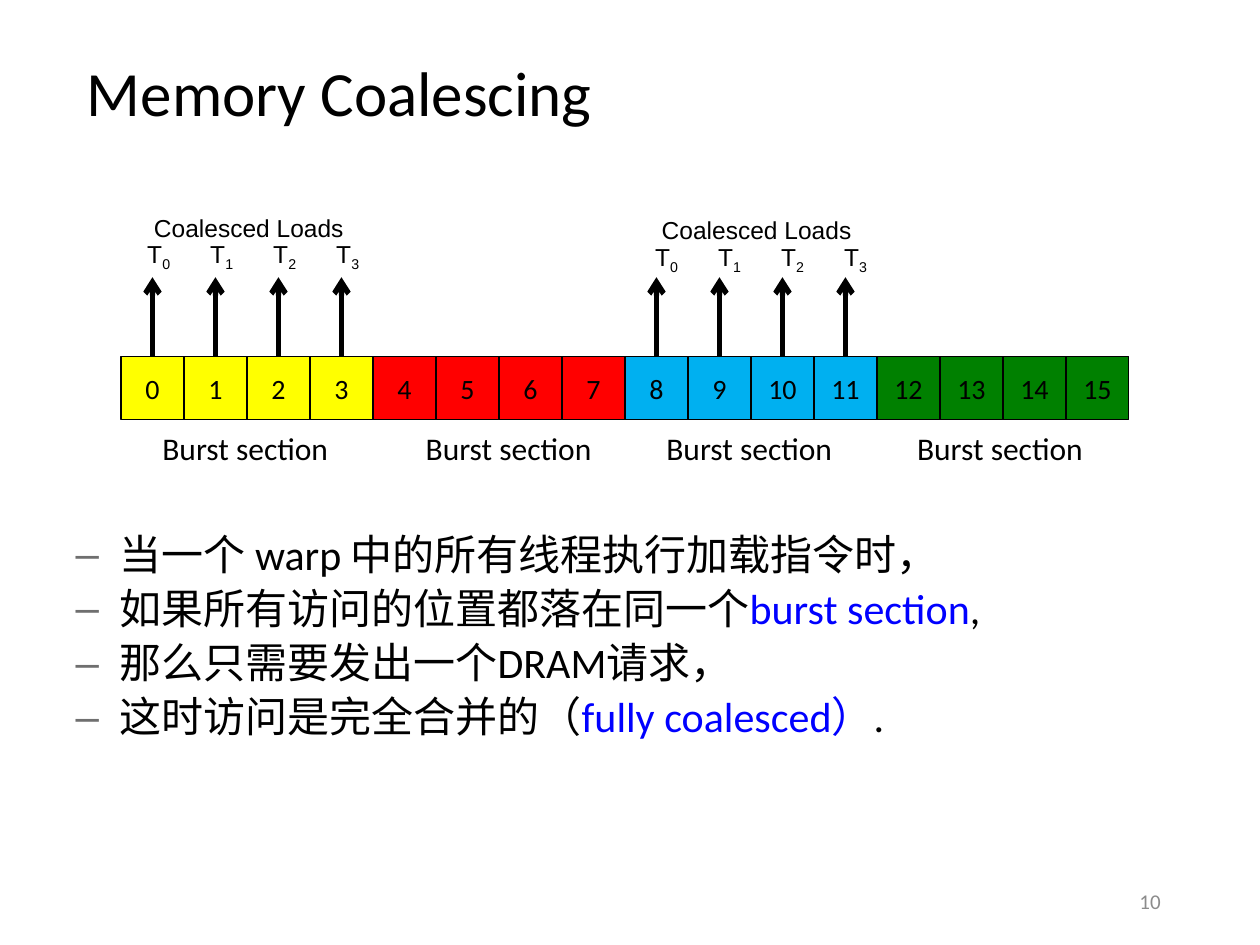
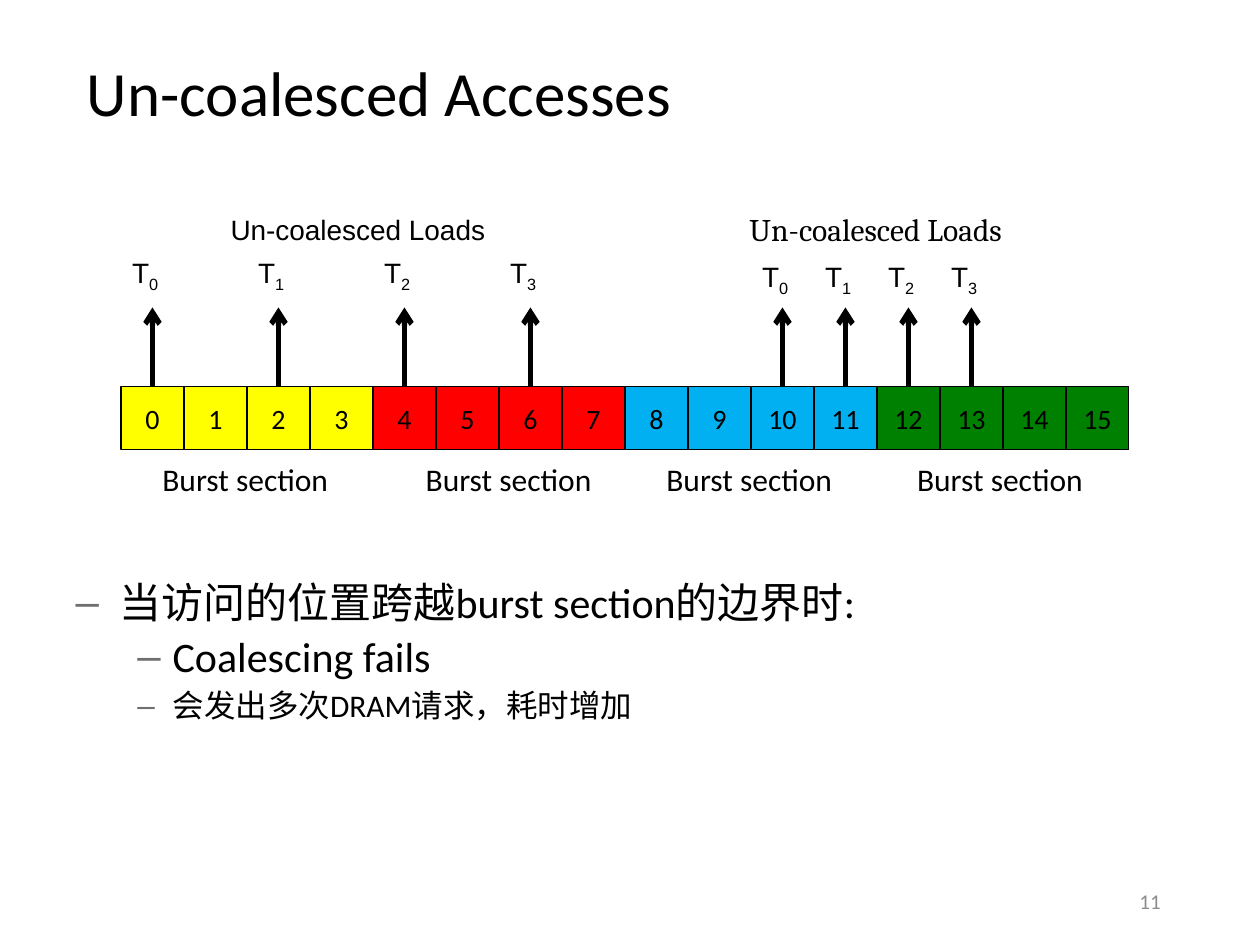
"""Build two slides on coalesced and un-coalesced memory accesses."""
from lxml import etree
from pptx import Presentation
from pptx.dml.color import RGBColor
from pptx.enum.shapes import MSO_CONNECTOR, MSO_SHAPE
from pptx.enum.text import MSO_ANCHOR, PP_ALIGN
from pptx.oxml.ns import qn
from pptx.util import Inches, Pt

BLACK, BLUE, DASH_GREY, NUMBER_GREY = "000000", "0000FF", "6F6F6F", "8C8C8C"
BODY_FONT, LABEL_FONT = "Calibri", "Arial"
SECTION_COLORS = ["FFFF00", "FF0000", "00B0F0", "008000"]
SECTION_LABEL = "Burst section"
SECTION_LABEL_LEFTS = [1.19, 3.28, 5.19, 7.18]
CELLS_PER_SECTION = 4
CELL, BAR_LEFT = 0.5, 0.96
ARROW_LENGTH = 0.63
INDENTS = [(0.35, -0.35), (0.77, -0.28)]

SLIDES = [
    {
        "title": "Memory Coalescing",
        "number": "10",
        "bar_top": 2.83,
        "loads": [
            {"caption": "Coalesced Loads", "font": LABEL_FONT, "size": 14,
             "caption_box": (1.12, 1.64, 1.71, 0.34), "cells": [0, 1, 2, 3],
             "thread_size": 14, "thread_shift": 0.11, "thread_top": 1.85},
            {"caption": "Coalesced Loads", "font": LABEL_FONT, "size": 14,
             "caption_box": (5.15, 1.66, 1.71, 0.34), "cells": [8, 9, 10, 11],
             "thread_size": 14, "thread_shift": 0.14, "thread_top": 1.87},
        ],
        "points_top": 4.17,
        "points": [
            (0, 24, [("当一个 warp 中的所有线程执行加载指令时，", BLACK)]),
            (0, 24, [("如果所有访问的位置都落在同一个", BLACK),
                     ("burst section", BLUE), (",", BLACK)]),
            (0, 24, [("那么只需要发出一个DRAM请求，", BLACK)]),
            (0, 24, [("这时访问是完全合并的（", BLACK),
                     ("fully coalesced）", BLUE), (".", BLACK)]),
        ],
    },
    {
        "title": "Un-coalesced Accesses",
        "number": "11",
        "bar_top": 3.07,
        "loads": [
            {"caption": "Un-coalesced Loads", "font": LABEL_FONT, "size": 16,
             "caption_box": (1.72, 1.64, 2.24, 0.37), "cells": [0, 2, 4, 6],
             "thread_size": 16, "thread_shift": -0.01, "thread_top": 1.98},
            {"caption": "Un-coalesced Loads", "font": "Cambria", "size": 18,
             "caption_box": (5.82, 1.62, 2.26, 0.4), "cells": [10, 11, 12, 13],
             "thread_size": 16, "thread_shift": -0.01, "thread_top": 2.01},
        ],
        "points_top": 4.55,
        "points": [
            (0, 24, [("当访问的位置跨越burst section的边界时:", BLACK)]),
            (1, 24, [("Coalescing fails", BLACK)]),
            (1, 18, [("会发出多次DRAM请求，耗时增加", BLACK)]),
        ],
    },
]


def rgb(color):
    return RGBColor.from_string(color)


def add_run(paragraph, text, size, color=BLACK, font=BODY_FONT):
    run = paragraph.add_run()
    run.text = text
    run.font.size = Pt(size)
    run.font.name = font
    run.font.color.rgb = rgb(color)
    return run


def add_frame(slide, left, top, width, height, wrap=False):
    frame = slide.shapes.add_textbox(
        Inches(left), Inches(top), Inches(width), Inches(height)).text_frame
    frame.word_wrap = wrap
    return frame


def set_margins(frame, left):
    frame.margin_left, frame.margin_right = Inches(left), Inches(0.13)
    frame.margin_top = frame.margin_bottom = Inches(0.07)


def add_title(slide, title):
    frame = add_frame(slide, 0.45, 0.42, 9.09, 0.68, wrap=True)
    set_margins(frame, 0.24)
    frame.paragraphs[0].line_spacing = 0.9
    add_run(frame.paragraphs[0], title, 36)


def add_number(slide, number):
    frame = add_frame(slide, 7.06, 6.95, 2.25, 0.4, wrap=True)
    frame.vertical_anchor = MSO_ANCHOR.MIDDLE
    frame.paragraphs[0].alignment = PP_ALIGN.RIGHT
    add_run(frame.paragraphs[0], number, 12, NUMBER_GREY)


def add_dash(paragraph, level):
    properties = paragraph._p.get_or_add_pPr()
    margin, indent = INDENTS[level]
    properties.set("marL", str(Inches(margin)))
    properties.set("indent", str(Inches(indent)))
    color = etree.SubElement(properties, qn("a:buClr"))
    etree.SubElement(color, qn("a:srgbClr"), val=DASH_GREY)
    etree.SubElement(properties, qn("a:buFont"), typeface=LABEL_FONT)
    etree.SubElement(properties, qn("a:buChar"), char="–")


def add_points(slide, top, points):
    frame = add_frame(slide, 0.47, top, 9.07, 7.05 - top, wrap=True)
    set_margins(frame, 0.13)
    for index, (level, size, pieces) in enumerate(points):
        paragraph = frame.add_paragraph() if index else frame.paragraphs[0]
        paragraph.level = level
        paragraph.line_spacing = 0.9
        paragraph.space_before = paragraph.space_after = Pt(2.5)
        add_dash(paragraph, level)
        for text, color in pieces:
            add_run(paragraph, text, size, color)


def add_cell(slide, index, top):
    cell = slide.shapes.add_shape(
        MSO_SHAPE.RECTANGLE, Inches(BAR_LEFT + index * CELL), Inches(top),
        Inches(CELL), Inches(CELL))
    cell.shadow.inherit = False
    cell.fill.solid()
    cell.fill.fore_color.rgb = rgb(SECTION_COLORS[index // CELLS_PER_SECTION])
    cell.line.color.rgb = rgb(BLACK)
    cell.line.width = Pt(0.75)
    frame = cell.text_frame
    frame.word_wrap = False
    frame.vertical_anchor = MSO_ANCHOR.MIDDLE
    frame.paragraphs[0].alignment = PP_ALIGN.CENTER
    add_run(frame.paragraphs[0], str(index), 16)
    return cell


def add_memory_bar(slide, top):
    cell_count = len(SECTION_COLORS) * CELLS_PER_SECTION
    cells = [add_cell(slide, index, top) for index in range(cell_count)]
    for left in SECTION_LABEL_LEFTS:
        frame = add_frame(slide, left, top + 0.53, 1.59, 0.4)
        add_run(frame.paragraphs[0], SECTION_LABEL, 18)
    return cells


def add_arrow(slide, cell):
    center = cell.left + cell.width // 2
    arrow = slide.shapes.add_connector(
        MSO_CONNECTOR.STRAIGHT, center, cell.top,
        center, cell.top - Inches(ARROW_LENGTH))
    arrow.begin_connect(cell, 0)
    arrow.line.color.rgb = rgb(BLACK)
    arrow.line.width = Pt(3)
    etree.SubElement(arrow.line._get_or_add_ln(), qn("a:tailEnd"), type="arrow")
    etree.SubElement(arrow._element.spPr, qn("a:effectLst"))


def add_load(slide, load, cells):
    caption = add_frame(slide, *load["caption_box"]).paragraphs[0]
    caption.alignment = PP_ALIGN.CENTER
    add_run(caption, load["caption"], load["size"], font=load["font"])
    for thread, index in enumerate(load["cells"]):
        left = BAR_LEFT + index * CELL + load["thread_shift"]
        label = add_frame(slide, left, load["thread_top"], 0.42, 0.37).paragraphs[0]
        add_run(label, "T", load["thread_size"], font=LABEL_FONT)
        subscript = add_run(label, str(thread), load["thread_size"], font=LABEL_FONT)
        subscript._r.get_or_add_rPr().set("baseline", "-25000")
        add_arrow(slide, cells[index])


def main():
    deck = Presentation()
    deck.slide_width, deck.slide_height = Inches(10), Inches(7.5)
    for content in SLIDES:
        slide = deck.slides.add_slide(deck.slide_layouts[6])
        add_title(slide, content["title"])
        add_points(slide, content["points_top"], content["points"])
        add_number(slide, content["number"])
        cells = add_memory_bar(slide, content["bar_top"])
        for load in content["loads"]:
            add_load(slide, load, cells)
    deck.save("out.pptx")


if __name__ == "__main__":
    main()
